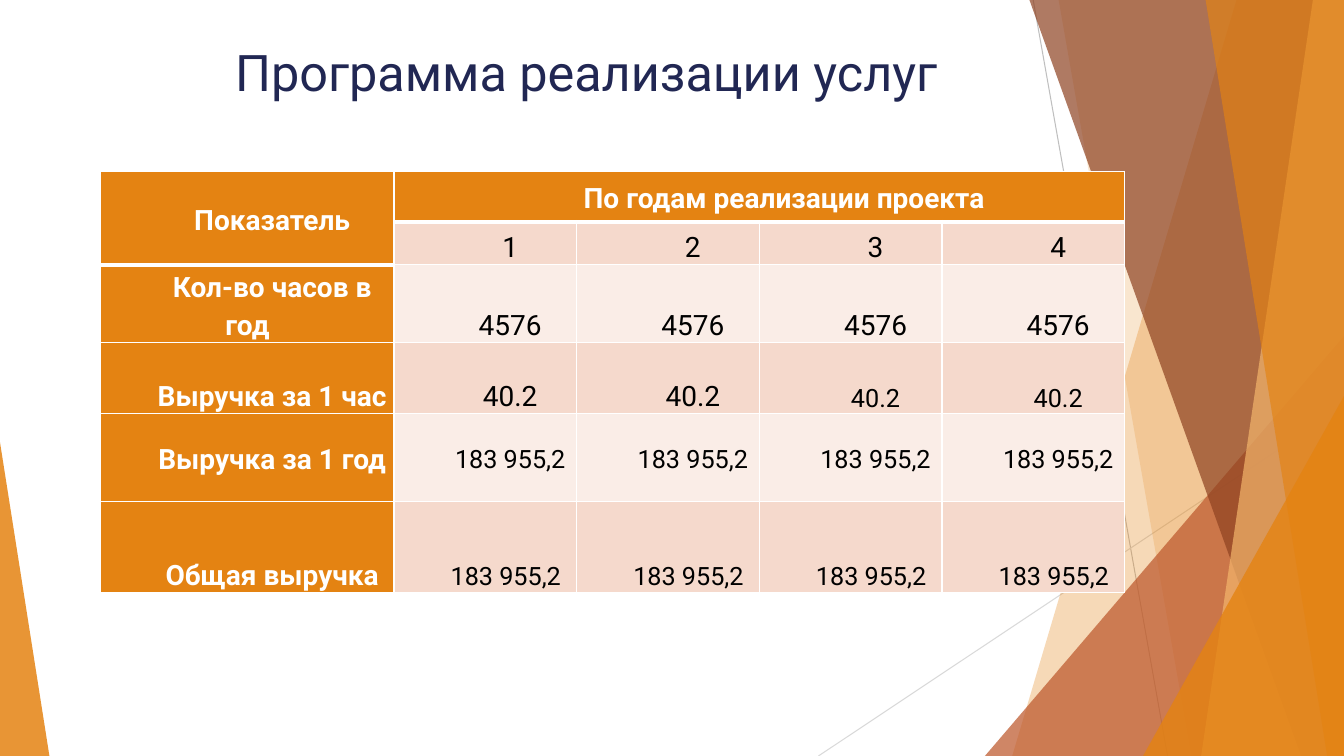
from lxml import etree
from pptx import Presentation
from pptx import util as u
from pptx.dml.color import RGBColor
from pptx.enum import shapes, text
from pptx.oxml import ns

ORANGE = RGBColor(0xE4, 0x83, 0x12)
RUST = RGBColor(0xBD, 0x58, 0x2C)
BROWN = RGBColor(0x8E, 0x42, 0x21)
PEACH = RGBColor(0xF3, 0xB5, 0x6C)
ROSE = RGBColor(0xF5, 0xD9, 0xCC)
PALE = RGBColor(0xFA, 0xED, 0xE7)
NAVY = RGBColor(0x21, 0x27, 0x53)
GREY = RGBColor(0xBF, 0xBF, 0xBF)
SILVER = RGBColor(0xD9, 0xD9, 0xD9)
WHITE = RGBColor(0xFF, 0xFF, 0xFF)
BLACK = RGBColor(0, 0, 0)

WIDE, HIGH = 960, 540
FONT = "Roboto"
MID, LOW = text.MSO_ANCHOR.MIDDLE, text.MSO_ANCHOR.BOTTOM
YEARS = 4
COLS = [209.5] + [130.5] * YEARS
ROWS = [36, 30.8, 49, 51.1, 62.6, 64.1]
# label, value, sizes by year, anchor
DATA = [
    ("Кол-во часов в год", "4576", [20] * YEARS, LOW),
    ("Выручка за 1 час", "40.2", [20, 20, 18, 18], LOW),
    ("Выручка за 1 год", "183 955,2", [18] * YEARS, MID),
    ("Общая выручка", "183 955,2", [18] * YEARS, LOW),
]


def add_tag(parent, name, **attrs):
    return etree.SubElement(parent, ns.qn(name), attrs)


def tint(shape, color, alpha):
    """Fill without outline; alpha is opacity in percent."""
    shape.shadow.inherit = False
    shape.line.fill.background()
    shape.fill.solid()
    shape.fill.fore_color.rgb = color
    tone = shape.fill._xPr.find(".//" + ns.qn("a:srgbClr"))
    add_tag(tone, "a:alpha", val=str(alpha * 1000))


def add_line(slide, x1, y1, x2, y2, color):
    line = slide.shapes.add_connector(
        shapes.MSO_CONNECTOR.STRAIGHT, u.Pt(x1), u.Pt(y1), u.Pt(x2), u.Pt(y2))
    line.line.color.rgb = color
    line.line.width = u.Pt(0.75)
    add_tag(line._element.spPr, "a:effectLst")


def add_panel(slide, top, foot, color, alpha):
    """Panel from a slanted left edge (x at top, x at foot) to the slide's right."""
    pen = slide.shapes.build_freeform(u.Pt(top), u.Pt(-1))
    ends = [(WIDE, -1), (WIDE, HIGH), (foot, HIGH)]
    pen.add_line_segments([(u.Pt(x), u.Pt(y)) for x, y in ends])
    tint(pen.convert_to_shape(), color, alpha)


def add_wedge(slide, left, wide, high, peak, color, alpha):
    """Triangle standing on the slide's foot; peak is 0 (left) to 1 (right)."""
    wedge = slide.shapes.add_shape(
        shapes.MSO_SHAPE.ISOSCELES_TRIANGLE,
        u.Pt(left), u.Pt(HIGH - high), u.Pt(wide), u.Pt(high))
    wedge.adjustments[0] = peak
    tint(wedge, color, alpha)


def add_run(para, words, size, color, bold=False):
    run = para.add_run()
    run.text = words
    font = run.font
    font.name, font.size, font.bold = FONT, u.Pt(size), bold
    font.color.rgb = color


def add_title(slide, words):
    box = slide.shapes.add_textbox(u.Pt(77), u.Pt(26), u.Pt(684), u.Pt(84))
    box.text_frame.word_wrap = True
    para = box.text_frame.paragraphs[0]
    para.alignment = text.PP_ALIGN.CENTER
    add_run(para, words, 36, NAVY)


def set_edges(cell, top, foot):
    props = cell._tc.get_or_add_tcPr()
    widths = [("a:lnL", 1), ("a:lnR", 1), ("a:lnT", top), ("a:lnB", foot)]
    for spot, (name, width) in enumerate(widths):
        edge = etree.Element(ns.qn(name), w=str(u.Pt(width)))
        add_tag(add_tag(edge, "a:solidFill"), "a:srgbClr", val=str(WHITE))
        props.insert(spot, edge)


def fill_cell(cell, words, fill, size=20, anchor=MID, head=False, tall=False):
    """Write one cell; head is bold white text, tall is justified triple spacing."""
    cell.fill.solid()
    cell.fill.fore_color.rgb = fill
    cell.vertical_anchor = anchor
    cell.margin_left = cell.margin_right = u.Pt(5)
    cell.margin_top = cell.margin_bottom = 0
    para = cell.text_frame.paragraphs[0]
    props = para._p.get_or_add_pPr()
    props.set("marL", "0")
    props.set("indent", str(u.Pt(35.4)))
    para.alignment = text.PP_ALIGN.JUSTIFY if tall else text.PP_ALIGN.CENTER
    para.line_spacing = 3.0 if tall else 1.15
    add_run(para, words, size, WHITE if head else BLACK, head)


def add_grid(slide):
    frame = slide.shapes.add_table(
        len(ROWS), len(COLS), u.Pt(72), u.Pt(122.4),
        u.Pt(sum(COLS)), u.Pt(sum(ROWS)))
    grid = frame.table
    for col, width in zip(grid.columns, COLS):
        col.width = u.Pt(width)
    for row, height in zip(grid.rows, ROWS):
        row.height = u.Pt(height)
    grid.cell(0, 0).merge(grid.cell(1, 0))
    grid.cell(0, 1).merge(grid.cell(0, YEARS))

    fill_cell(grid.cell(0, 0), "Показатель", ORANGE, head=True)
    fill_cell(grid.cell(0, 1), "По годам реализации проекта", ORANGE, head=True)
    for year in range(1, YEARS + 1):
        fill_cell(grid.cell(1, year), str(year), ROSE, anchor=LOW)
    for r, (label, value, sizes, anchor) in enumerate(DATA, 2):
        fill_cell(grid.cell(r, 0), label, ORANGE, anchor=anchor, head=True)
        for c, size in enumerate(sizes, 1):
            fill_cell(grid.cell(r, c), value, ROSE if r % 2 else PALE,
                      size, anchor, tall=r == len(ROWS) - 1)

    for r in range(len(ROWS)):
        for c in range(len(COLS)):
            body = 1 if c else 2
            top = 3 if r == body else 1
            foot = 3 if r < body else 1
            set_edges(grid.cell(r, c), top, foot)


def add_decor(slide):
    add_line(slide, 738, 0, 834, HIGH, GREY)
    add_line(slide, WIDE, 290, 584.6, HIGH, SILVER)
    add_panel(slide, 883.5, 723, ORANGE, 30)
    add_panel(slide, 756, 851, ORANGE, 20)
    add_wedge(slide, 703.5, 256.5, 300, 1, RUST, 72)
    add_panel(slide, 735, 929.5, BROWN, 70)
    add_panel(slide, 938, 858, PEACH, 70)
    add_panel(slide, 861, 948, ORANGE, 65)
    add_wedge(slide, 816.5, 143.5, 257, 1, ORANGE, 80)
    add_wedge(slide, 0, 35.3, 224, 0, ORANGE, 85)


def main():
    deck = Presentation()
    deck.slide_width, deck.slide_height = u.Pt(WIDE), u.Pt(HIGH)
    slide = deck.slides.add_slide(deck.slide_layouts[6])
    add_decor(slide)
    add_title(slide, "Программа реализации услуг")
    add_grid(slide)
    deck.save("out.pptx")


if __name__ == "__main__":
    main()
